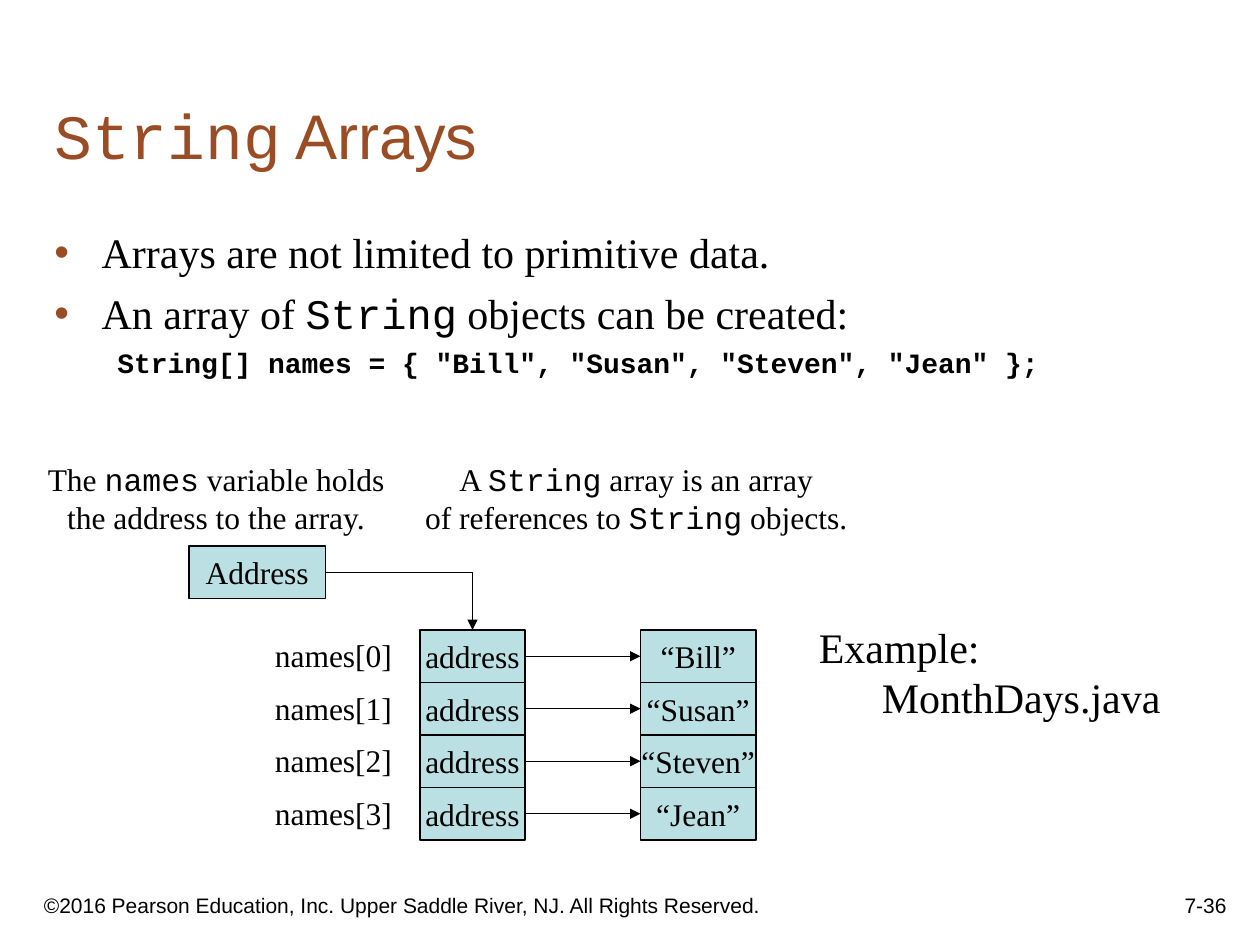
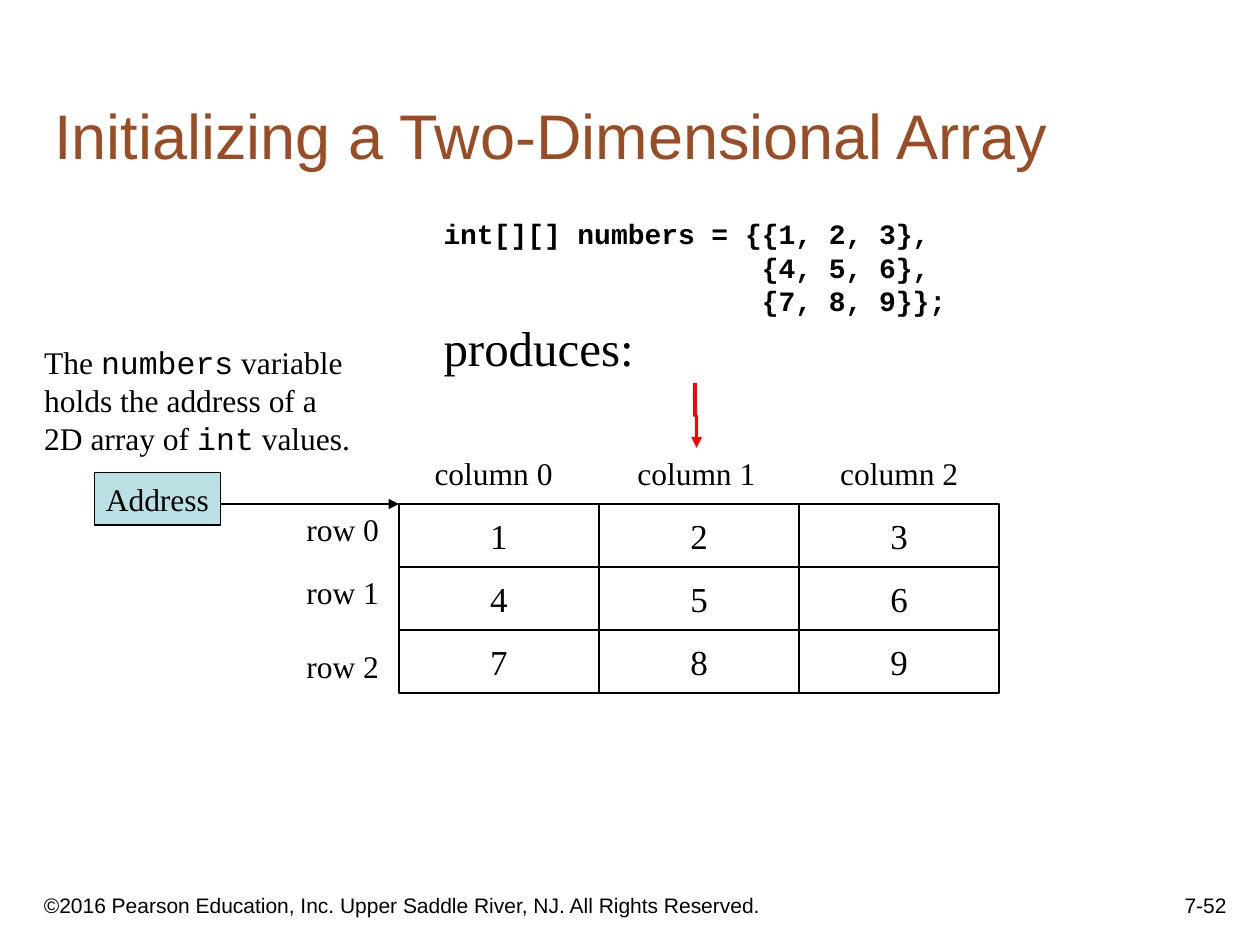
from typing import NamedTuple

from lxml import etree
from pptx import Presentation
from pptx.dml.color import RGBColor
from pptx.enum.shapes import MSO_CONNECTOR, MSO_SHAPE
from pptx.enum.text import MSO_ANCHOR, MSO_AUTO_SIZE, PP_ALIGN
from pptx.oxml.ns import qn
from pptx.util import Pt

BLACK = RGBColor(0x00, 0x00, 0x00)
RUST = RGBColor(0x9A, 0x4C, 0x25)
PALE_TEAL = RGBColor(0xBB, 0xE0, 0xE3)
RED = RGBColor(0xFF, 0x00, 0x00)

LEFT, CENTER, RIGHT = PP_ALIGN.LEFT, PP_ALIGN.CENTER, PP_ALIGN.RIGHT
TOP, MIDDLE, BOTTOM = MSO_ANCHOR.TOP, MSO_ANCHOR.MIDDLE, MSO_ANCHOR.BOTTOM
STRAIGHT, ELBOW = MSO_CONNECTOR.STRAIGHT, MSO_CONNECTOR.ELBOW
RECTANGLE = MSO_SHAPE.RECTANGLE
GROW_TO_TEXT = MSO_AUTO_SIZE.SHAPE_TO_FIT_TEXT
SIDE_TOP, SIDE_LEFT, SIDE_RIGHT = 0, 1, 3

SLIDE_WIDTH, SLIDE_HEIGHT = 720, 540
COPYRIGHT = "©2016 Pearson Education, Inc. Upper Saddle River, NJ. All Rights Reserved."


class TextStyle(NamedTuple):
    font: str
    size: int
    color: RGBColor = BLACK
    bold: bool = False


SERIF, SANS, MONO = "Times New Roman", "Arial", "Courier New"
TITLE = TextStyle(SANS, 36, RUST)
TITLE_CODE = TextStyle(MONO, 36, RUST)
FOOTER = TextStyle(SANS, 12)
BULLET = TextStyle(SERIF, 24)
BULLET_CODE = TextStyle(MONO, 24)
CODE = TextStyle(MONO, 16, bold=True)
LABEL = TextStyle(SERIF, 18)
LABEL_CODE = TextStyle(MONO, 18)
CELL = TextStyle(SERIF, 20)
RESULT = TextStyle(SERIF, 28)


def add_runs(paragraph, runs, alignment=LEFT):
    """Add (text, style) runs; a newline in the text becomes a line break."""
    paragraph.alignment = alignment
    for text, style in runs:
        for index, line in enumerate(text.split("\n")):
            if index:
                paragraph.add_line_break()
            run = paragraph.add_run()
            run.text = line
            run.font.name = style.font
            run.font.size = Pt(style.size)
            run.font.bold = style.bold
            run.font.color.rgb = style.color


def add_text(slide, box, paragraphs, alignment=LEFT, anchor=TOP, wrap=True):
    """Add a text box; without wrapping it grows to its text."""
    shape = slide.shapes.add_textbox(*map(Pt, box))
    frame = shape.text_frame
    frame.word_wrap = wrap
    frame.vertical_anchor = anchor
    if not wrap:
        frame.auto_size = GROW_TO_TEXT
    for index, runs in enumerate(paragraphs):
        paragraph = frame.add_paragraph() if index else frame.paragraphs[0]
        add_runs(paragraph, runs, alignment)
    return shape


def add_memory_box(slide, box, text, style=LABEL, fill=PALE_TEAL, line_width=0.75):
    shape = slide.shapes.add_shape(RECTANGLE, *map(Pt, box))
    shape.shadow.inherit = False
    if fill is None:
        shape.fill.background()
    else:
        shape.fill.solid()
        shape.fill.fore_color.rgb = fill
    shape.line.color.rgb = BLACK
    shape.line.width = Pt(line_width)
    shape.text_frame.word_wrap = False
    shape.text_frame.vertical_anchor = MIDDLE
    add_runs(shape.text_frame.paragraphs[0], [(text, style)], CENTER)
    return shape


def add_arrow(slide, kind, start, end, color=BLACK, width=0.75):
    arrow = slide.shapes.add_connector(kind, *map(Pt, (*start, *end)))
    arrow.line.color.rgb = color
    arrow.line.width = Pt(width)
    properties = arrow._element.spPr
    head = etree.SubElement(properties.find(qn("a:ln")), qn("a:tailEnd"))
    head.set("type", "triangle")
    etree.SubElement(properties, qn("a:effectLst"))
    return arrow


def join(slide, kind, source, source_side, target, target_side):
    arrow = add_arrow(slide, kind, (0, 0), (1, 1))
    arrow.begin_connect(source, source_side)
    arrow.end_connect(target, target_side)
    return arrow


def set_indent(paragraph, margin, first_line, bullet=None):
    properties = paragraph._p.get_or_add_pPr()
    properties.set("marL", str(Pt(margin)))
    properties.set("indent", str(Pt(first_line)))
    if bullet:
        color = etree.SubElement(properties, qn("a:buClr"))
        etree.SubElement(color, qn("a:srgbClr")).set("val", str(RUST))
        etree.SubElement(properties, qn("a:buFont")).set("typeface", SANS)
        etree.SubElement(properties, qn("a:buChar")).set("char", bullet)


def add_base_slide(presentation, title_runs, number):
    slide = presentation.slides.add_slide(presentation.slide_layouts[6])
    add_text(slide, (18, 498, 438, 30), [[(COPYRIGHT, FOOTER)]], anchor=BOTTOM)
    add_text(slide, (558, 492, 150, 36), [[(number, FOOTER)]], RIGHT, BOTTOM)
    add_text(slide, (24, 24, 678, 78), [title_runs], anchor=BOTTOM)
    return slide


def add_bullets_with_code(slide, box):
    shape = add_text(slide, box, [
        [("Arrays are not limited to primitive data.", BULLET)],
        [("An array of ", BULLET), ("String", BULLET_CODE),
         (" objects can be created:", BULLET)],
        [('String[] names = { "Bill", "Susan", "Steven", "Jean" };', CODE)],
    ])
    first, second, code = shape.text_frame.paragraphs
    for paragraph in (first, second):
        set_indent(paragraph, 27, -27, "•")
    set_indent(code, 58.5, -22.5)
    second.space_before = Pt(6)
    code.space_before = Pt(4.5)


def add_reference_diagram(slide, left, top, names):
    """Draw the array variable, its references and the strings they lead to."""
    row_height, rows_top = 30, top + 48
    variable = add_memory_box(slide, (left, top, 78, row_height), "Address")
    for index, name in enumerate(names):
        y = rows_top + index * row_height
        add_text(slide, (left + 42, y, 91, 29), [[(f"names[{index}]", LABEL)]])
        reference = add_memory_box(slide, (left + 132, y, 60, row_height), "address")
        value = add_memory_box(slide, (left + 258, y, 66, row_height), f"“{name}”")
        join(slide, STRAIGHT, reference, SIDE_RIGHT, value, SIDE_LEFT)
        if index == 0:
            elbow = join(slide, ELBOW, variable, SIDE_RIGHT, reference, SIDE_TOP)
            geometry = elbow._element.spPr.find(qn("a:prstGeom"))
            geometry.set("prst", "bentConnector2")


def build_string_arrays(presentation):
    slide = add_base_slide(
        presentation, [("String", TITLE_CODE), (" Arrays", TITLE)], "7-36")
    add_bullets_with_code(slide, (24, 126, 653, 133))
    add_text(slide, (20, 259.5, 207, 50.5), [
        [("The ", LABEL), ("names", LABEL_CODE), (" variable holds", LABEL)],
        [("the address to the array.", LABEL)],
    ], CENTER, wrap=False)
    add_text(slide, (235.8, 259.5, 255.5, 50.5), [
        [("A ", LABEL), ("String", LABEL_CODE), (" array is an array", LABEL)],
        [("of references to ", LABEL), ("String", LABEL_CODE), (" objects.", LABEL)],
    ], CENTER, wrap=False)
    add_reference_diagram(slide, 108, 312, ["Bill", "Susan", "Steven", "Jean"])
    example = add_text(slide, (460.8, 351.4, 209.5, 65),
                       [[("Example:\nMonthDays.java", BULLET)]], wrap=False)
    set_indent(example.text_frame.paragraphs[0], 36, -36)


def add_number_grid(slide, left, top, rows):
    """Draw the array's cells with a label over each column and beside each row."""
    cell_width, cell_height = 114.3, 36
    for row, values in enumerate(rows):
        for column, value in enumerate(values):
            box = (left + column * cell_width, top + row * cell_height,
                   cell_width, cell_height)
            add_memory_box(slide, box, str(value), CELL, fill=None, line_width=1)
    for index in range(len(rows[0])):
        add_text(slide, (left + 13.2 + 115.9 * index, top - 32.4, 82, 29),
                 [[(f"column {index}", LABEL)]], wrap=False)
    for index, offset in enumerate((0, 36, 78)):
        add_text(slide, (left - 60, top + offset, 56, 29),
                 [[(f"row {index}", LABEL)]], wrap=False)


def add_down_arrow(slide, center_x, center_y, length, jog):
    """Draw an elbow arrow turned to point down, with a small sideways jog."""
    arrow = add_arrow(slide, ELBOW,
                      (center_x + length / 2, center_y - jog / 2),
                      (center_x - length / 2, center_y + jog / 2), RED, 2)
    arrow._element.spPr.find(qn("a:xfrm")).set("rot", str(270 * 60000))


def build_two_dimensional_array(presentation):
    slide = add_base_slide(
        presentation, [("Initializing a Two-Dimensional Array", TITLE)], "7-52")
    grid_left, grid_top = 228, 288
    add_number_grid(slide, grid_left, grid_top, [(1, 2, 3), (4, 5, 6), (7, 8, 9)])
    add_memory_box(slide, (54, 270, 72, 30), "Address")
    add_arrow(slide, STRAIGHT, (126, grid_top), (grid_left, grid_top))
    add_text(slide, (18.2, 192.5, 189, 72), [
        [("The ", LABEL), ("numbers", LABEL_CODE), (" variable", LABEL)],
        [("holds the address of a", LABEL)],
        [("2D array of ", LABEL), ("int", LABEL_CODE), (" values.", LABEL)],
    ], wrap=False)
    add_text(slide, (246.4, 120.3, 302, 98.6), [
        [("int[][] numbers = {{1, 2, 3},", CODE)],
        [("                   {4, 5, 6},", CODE)],
        [("                   {7, 8, 9}};", CODE)],
        [("produces:", RESULT)],
    ], wrap=False)
    add_down_arrow(slide, 397.7, 237.4, 37, 0.8)


def main():
    presentation = Presentation()
    presentation.slide_width = Pt(SLIDE_WIDTH)
    presentation.slide_height = Pt(SLIDE_HEIGHT)
    build_string_arrays(presentation)
    build_two_dimensional_array(presentation)
    presentation.save("out.pptx")


if __name__ == "__main__":
    main()
